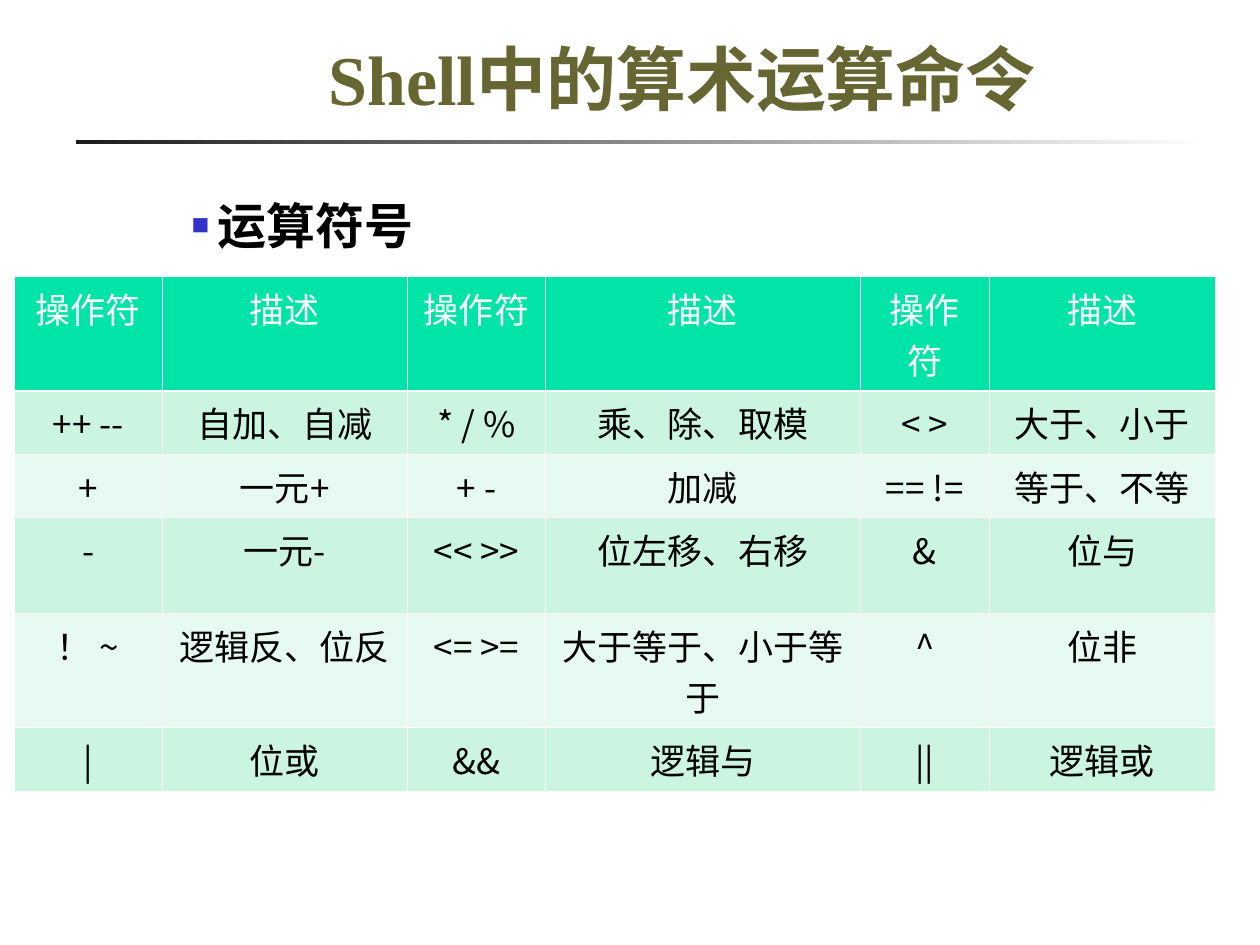
from dataclasses import dataclass

from lxml.etree import SubElement
from pptx import Presentation
from pptx.dml.color import RGBColor
from pptx.enum.shapes import MSO_SHAPE
from pptx.enum.text import MSO_ANCHOR, MSO_AUTO_SIZE, PP_ALIGN
from pptx.oxml.ns import qn
from pptx.util import Inches, Pt


@dataclass(frozen=True)
class Theme:
    """Colours, fonts and type sizes of the deck."""
    title: str = "666633"
    text: str = "000000"
    white: str = "FFFFFF"
    bullet: str = "3333CC"
    rule: tuple = ("1C1C1C", "FFFFFF")
    header: str = "00E4A8"
    bands: tuple = ("CBF5E1", "E7FAF1")
    title_font: str = "Times New Roman"
    body_font: str = "Roboto"
    cjk_font: str = "Noto Sans CJK SC"
    title_size: float = 40
    body_size: float = 28
    cell_size: float = 20
    thin: float = 0.45
    thick: float = 1.47


class Deck:
    """Slide builder on a grid of 100 columns by 75 rows."""

    def __init__(self, theme):
        """Start a presentation in the given theme."""
        self.theme = theme
        self.prs = Presentation()
        self.prs.slide_width, self.prs.slide_height = Inches(10), Inches(7.5)
        self.col = self.prs.slide_width / 100
        self.row = self.prs.slide_height / 75

    def box(self, x, y, w, h):
        """Turn grid columns and rows into lengths."""
        return [round(v * u) for v, u in zip((x, y, w, h), (self.col, self.row) * 2)]

    def add_slide(self):
        """Add a title and content slide and make it current."""
        self.s = self.prs.slides.add_slide(self.prs.slide_layouts[1])

    def style(self, p, font, size, color, bold=False):
        """Format every run of a paragraph."""
        for r in p.runs:
            r.font.name, r.font.size, r.font.bold = font, Pt(size), bold
            r.font.color.rgb = RGBColor.from_string(color)
            SubElement(r.font._element, qn("a:ea"), typeface=self.theme.cjk_font)

    def place(self, sp, at, anchor):
        """Move a placeholder and set its text frame."""
        sp.left, sp.top, sp.width, sp.height = self.box(*at)
        tf = sp.text_frame
        tf.word_wrap, tf.auto_size = True, MSO_AUTO_SIZE.NONE
        tf.vertical_anchor = anchor
        return tf

    def title(self, text, at):
        """Fill the title placeholder."""
        t = self.theme
        tf = self.place(self.s.shapes.title, at, MSO_ANCHOR.BOTTOM)
        tf.text = text
        p = tf.paragraphs[0]
        p.alignment = PP_ALIGN.CENTER
        self.style(p, t.title_font, t.title_size, t.title, True)

    def bullets(self, items, at, indent):
        """Fill the body placeholder with square bullets."""
        t = self.theme
        tf = self.place(self.s.placeholders[1], at, MSO_ANCHOR.TOP)
        tf.text = "\n".join(items)
        hang = round(indent * self.col)
        for i, p in enumerate(tf.paragraphs):
            p.space_before = Pt(7 if i else 0)
            pPr = p._p.get_or_add_pPr()
            pPr.set("marL", str(hang))
            pPr.set("indent", str(-hang))
            SubElement(SubElement(pPr, qn("a:buClr")), qn("a:srgbClr"), val=t.bullet)
            SubElement(pPr, qn("a:buSzPct"), val="60000")
            SubElement(pPr, qn("a:buFont"), typeface=t.title_font)
            SubElement(pPr, qn("a:buChar"), char="■")
            self.style(p, t.body_font, t.body_size, t.text, True)

    def rule(self, at):
        """Draw a bar that fades from left to right."""
        sp = self.s.shapes.add_shape(MSO_SHAPE.RECTANGLE, *self.box(*at))
        sp.shadow.inherit = False
        sp.line.fill.background()
        sp.fill.gradient()
        sp.fill.gradient_angle = 0
        for stop, color in zip(sp.fill.gradient_stops, self.theme.rule):
            stop.color.rgb = RGBColor.from_string(color)

    def borders(self, cell, **widths):
        """Give a cell white borders, one width per side."""
        tcPr = cell._tc.get_or_add_tcPr()
        for side, width in widths.items():
            ln = SubElement(tcPr, qn(f"a:ln{side}"), w=str(Pt(width)))
            SubElement(SubElement(ln, qn("a:solidFill")), qn("a:srgbClr"), val=self.theme.white)

    def table(self, rows, at, widths, heights):
        """Add a table with a header row and banded body rows."""
        t = self.theme
        frame = self.s.shapes.add_table(
            len(rows), len(widths), *self.box(*at, sum(widths), sum(heights)))
        tbl = frame.table
        for column, width in zip(tbl.columns, widths):
            column.width = round(width * self.col)
        for i, (line, height) in enumerate(zip(rows, heights)):
            tbl.rows[i].height = round(height * self.row)
            fill = t.bands[(i - 1) % 2] if i else t.header
            for cell, text in zip(tbl.rows[i].cells, line):
                self.borders(cell, L=t.thin, R=t.thin,
                             T=t.thick if i == 1 else t.thin,
                             B=t.thin if i else t.thick)
                cell.fill.solid()
                cell.fill.fore_color.rgb = RGBColor.from_string(fill)
                cell.text_frame.text = text
                p = cell.text_frame.paragraphs[0]
                p.alignment = PP_ALIGN.CENTER
                self.style(p, t.cjk_font, t.cell_size, t.text if i else t.white)


OPERATORS = [
    ("操作符", "描述") * 3,
    ("++ --", "自加、自减", "* / %", "乘、除、取模", "< >", "大于、小于"),
    ("+", "一元+", "+ -", "加减", "== !=", "等于、不等"),
    ("-", "一元-", "<< >>", "位左移、右移", "&", "位与"),
    ("！ ~", "逻辑反、位反", "<= >=", "大于等于、小于等于", "^", "位非"),
    ("|", "位或", "&&", "逻辑与", "||", "逻辑或"),
]


def main():
    """Build and save the operator slide."""
    deck = Deck(Theme())
    deck.add_slide()
    deck.rule((6, 11.1, 90, 0.35))
    deck.title("Shell中的算术运算命令", (15, 1.7, 78.3, 8.3))
    deck.bullets(["运算符号"], (14.2, 15, 80.8, 50.4), 2.1)
    deck.table(OPERATORS, (1.15, 21.95),
               widths=(11.7, 19.5, 10.95, 25, 10.2, 17.95),
               heights=(7.7, 4.3, 4.3, 7.6, 7.7, 4.3))
    deck.prs.save("out.pptx")


if __name__ == "__main__":
    main()
